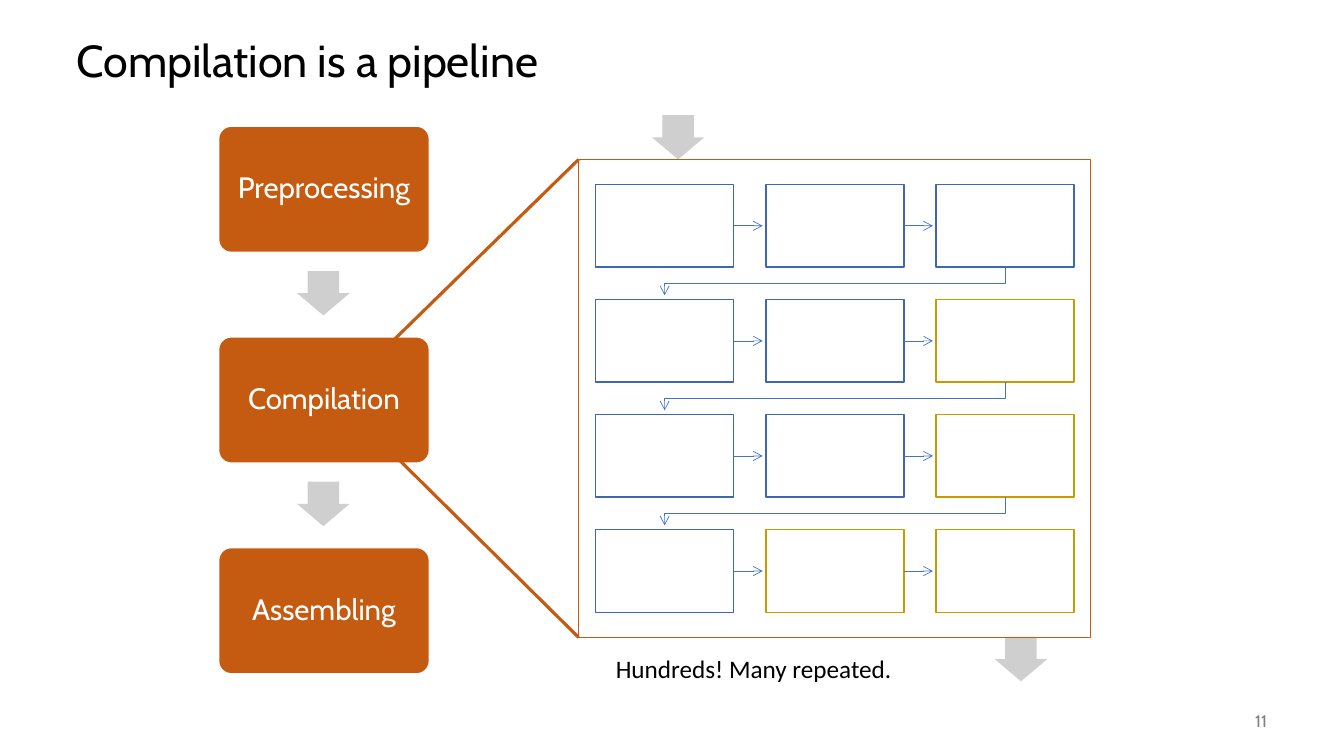
"""Build a slide showing compilation as a pipeline of many small passes."""
from pptx import Presentation
from pptx.dml.color import RGBColor
from pptx.enum.shapes import MSO_CONNECTOR as LINK, MSO_SHAPE as SHAPE
from pptx.enum.text import MSO_ANCHOR as ANCHOR, PP_ALIGN as ALIGN
from pptx.oxml.ns import qn
from pptx.util import Cm, Pt
from lxml.etree import SubElement

BLACK = RGBColor(0x00, 0x00, 0x00)
WHITE = RGBColor(0xFF, 0xFF, 0xFF)
GRAY = RGBColor(0x80, 0x80, 0x80)
SILVER = RGBColor(0xCF, 0xCF, 0xCF)
ORANGE = RGBColor(0xC5, 0x5A, 0x11)
BLUE = RGBColor(0x3E, 0x67, 0xB2)
LIGHT_BLUE = RGBColor(0x44, 0x72, 0xC4)
GOLD = RGBColor(0xCC, 0x99, 0x00)


def style(shape, fill, line, width, arrowhead=False):
    """Set fill and outline, drop the shadow and optionally end in an arrowhead."""
    properties = shape.element.spPr
    if hasattr(shape, "fill"):
        if fill is None:
            shape.fill.background()
        else:
            shape.fill.solid()
            shape.fill.fore_color.rgb = fill
    if line is None:
        shape.line.fill.background()
    else:
        shape.line.color.rgb = line
        shape.line.width = Pt(width)
    if arrowhead:
        SubElement(properties.find(qn("a:ln")), qn("a:tailEnd"), type="arrow")
    if hasattr(shape, "shadow"):
        shape.shadow.inherit = False
    else:
        SubElement(properties, qn("a:effectLst"))


def write(shape, text, frame_format, para_format, font_format, color):
    """Put one formatted paragraph into a shape."""
    frame = shape.text_frame
    para = frame.paragraphs[0]
    span = para.add_run()
    span.text = text
    span.font.color.rgb = color
    for target, values in ((frame, frame_format), (para, para_format), (span.font, font_format)):
        for name, value in values.items():
            setattr(target, name, value)


deck = Presentation()
deck.slide_width, deck.slide_height = Cm(33.87), Cm(19.05)
page = deck.slides.add_slide(deck.slide_layouts[6])
shapes = page.shapes

middle = {"word_wrap": True, "vertical_anchor": ANCHOR.MIDDLE}
top = {"word_wrap": True, "vertical_anchor": ANCHOR.TOP}
texts = [
    ("Compilation is a pipeline", (1.68, 0.64, 30.48, 1.9), middle,
     {"line_spacing": 0.9}, {"name": "Cabin", "size": Pt(32)}, BLACK),
    ("11", (29.64, 17.65, 2.54, 1.02), middle,
     {"alignment": ALIGN.RIGHT}, {"name": "Cabin", "size": Pt(12)}, GRAY),
    ("Hundreds! Many repeated.", (15.27, 16.33, 9.09, 1.02), top,
     {}, {"name": "Calibri", "size": Pt(18)}, BLACK),
]
for text, place, frame_format, para_format, font_format, color in texts:
    box = shapes.add_textbox(*map(Cm, place))
    write(box, text, frame_format, para_format, font_format, color)

stage_left, stage_top, stage_pitch = 5.51, 3.18, 5.31
stage_frame = middle | {"margin_left": Cm(0.2), "margin_right": Cm(0.2)}
stage_para = {"alignment": ALIGN.CENTER, "line_spacing": 0.9}
for index, name in enumerate(["Preprocessing", "Compilation", "Assembling"]):
    stage = shapes.add_shape(SHAPE.ROUNDED_RECTANGLE, Cm(stage_left),
                             Cm(stage_top + index * stage_pitch), Cm(5.31), Cm(3.18))
    stage.adjustments[0] = 0.1
    style(stage, ORANGE, WHITE, 1)
    write(stage, name, stage_frame, stage_para, {"name": "Cabin", "size": Pt(21)}, WHITE)

step_left, step_top, step_width, step_height = 15.01, 4.65, 3.48, 2.08
column_pitch, row_pitch = 4.29, 2.9
step_lines = [
    (BLUE, BLUE, BLUE),
    (BLUE, BLUE, GOLD),
    (BLUE, BLUE, GOLD),
    (BLUE, GOLD, GOLD),
]
for row, colors in enumerate(step_lines):
    y = step_top + row * row_pitch
    for column, color in enumerate(colors):
        x = step_left + column * column_pitch
        step = shapes.add_shape(SHAPE.RECTANGLE, Cm(x), Cm(y), Cm(step_width), Cm(step_height))
        style(step, WHITE, color, 1)
        if column < len(colors) - 1:
            link = shapes.add_connector(LINK.STRAIGHT, Cm(x + step_width), Cm(y + step_height / 2),
                                        Cm(x + step_width + 0.73), Cm(y + step_height / 2))
            style(link, None, LIGHT_BLUE, 0.5, arrowhead=True)
    if row < len(step_lines) - 1:
        bottom = y + step_height
        first = step_left + step_width / 2
        last = first + 2 * column_pitch
        turn = shapes.build_freeform(Cm(last), Cm(bottom))
        turn.add_line_segments([(Cm(last), Cm(bottom + 0.4)), (Cm(first), Cm(bottom + 0.4)),
                                (Cm(first), Cm(bottom + 0.71))], close=False)
        style(turn.convert_to_shape(), None, LIGHT_BLUE, 0.5, arrowhead=True)

for left, arrow_top in [(7.49, 6.83), (7.49, 6.83 + stage_pitch), (16.43, 2.9), (25.07, 16.05)]:
    arrow = shapes.add_shape(SHAPE.DOWN_ARROW, Cm(left), Cm(arrow_top), Cm(1.32), Cm(1.12))
    arrow.adjustments[0], arrow.adjustments[1] = 0.6, 0.5
    style(arrow, SILVER, None, 0)

frame_left, frame_top, frame_height = 14.58, 4.02, 12.04
panel = shapes.add_shape(SHAPE.RECTANGLE, Cm(frame_left), Cm(frame_top), Cm(12.9), Cm(frame_height))
style(panel, None, ORANGE, 1)
for start, end in [(8.56, frame_top), (11.46, frame_top + frame_height)]:
    ray = shapes.add_connector(LINK.STRAIGHT, Cm(9.93), Cm(start), Cm(frame_left), Cm(end))
    style(ray, None, ORANGE, 2.25)

deck.save("out.pptx")
